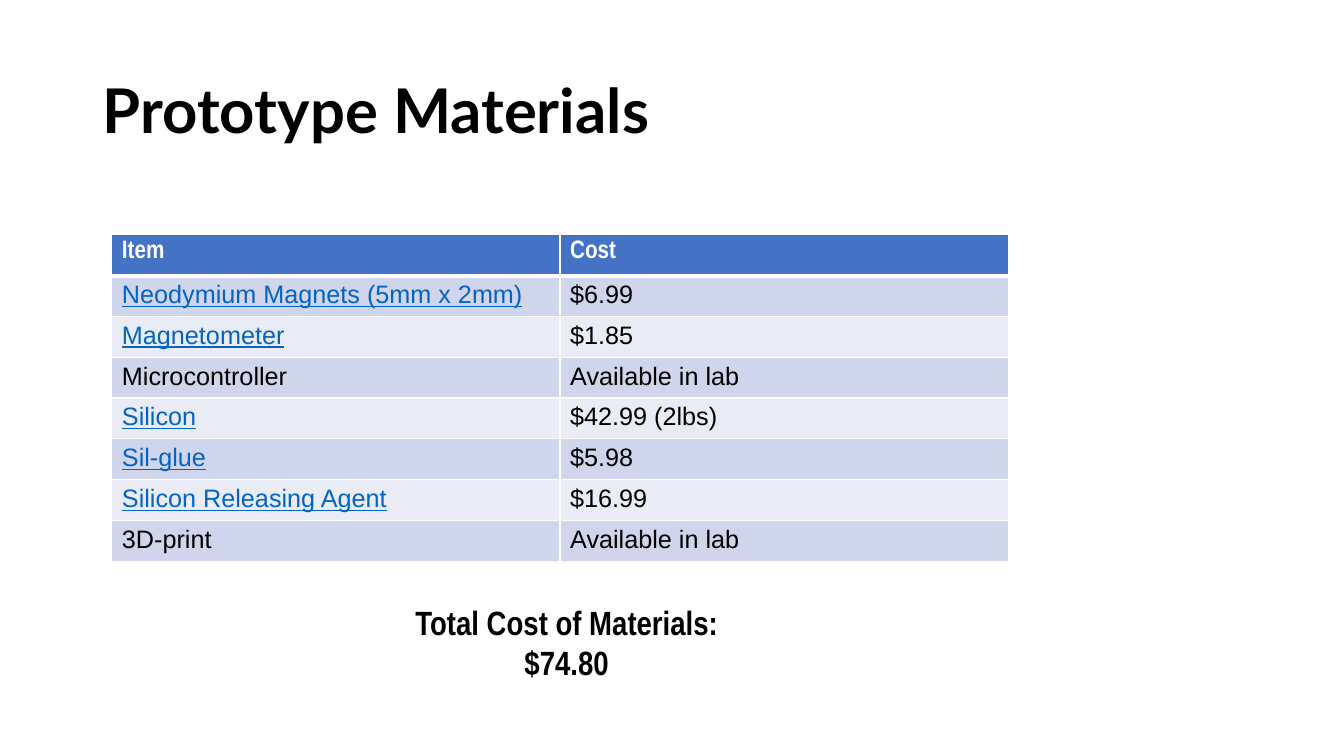
from lxml.etree import SubElement
from pptx import Presentation
from pptx.dml.color import RGBColor
from pptx.enum.text import MSO_ANCHOR as Anchor, PP_ALIGN as Align
from pptx.oxml.ns import qn
from pptx.util import Inches, Pt

TITLE = "Prototype Materials"
TOTAL = "Total Cost of Materials: $74.80"
HEADER = ("Item", "Cost")
MATERIALS = [
    ("Neodymium Magnets (5mm x 2mm)", "$6.99"),
    ("Magnetometer", "$1.85"),
    ("Microcontroller", "Available in lab"),
    ("Silicon", "$42.99 (2lbs)"),
    ("Sil-glue", "$5.98"),
    ("Silicon Releasing Agent", "$16.99"),
    ("3D-print", "Available in lab"),
]
IN_HOUSE = "Available in lab"

BLACK = RGBColor(0x00, 0x00, 0x00)
WHITE = RGBColor(0xFF, 0xFF, 0xFF)
BLUE = RGBColor(0x44, 0x72, 0xC4)
LINK_BLUE = RGBColor(0x05, 0x63, 0xC1)
BANDS = (RGBColor(0xCF, 0xD5, 0xEA), RGBColor(0xE9, 0xEB, 0xF5))

TABLE_LEFT, TABLE_TOP, TABLE_WIDTH, TABLE_HEIGHT = 1.11, 2.33, 8.89, 3.24


def add_run(paragraph, text, font_name, size, color, bold=False, underline=False):
    run = paragraph.add_run()
    run.text = text
    font = run.font
    font.name, font.size, font.bold = font_name, Pt(size), bold
    font.underline = underline
    font.color.rgb = color


def add_text(slide, box, text, font_name, size, anchor, align):
    frame = slide.shapes.add_textbox(*map(Inches, box)).text_frame
    frame.word_wrap = True
    frame.vertical_anchor = anchor
    paragraph = frame.paragraphs[0]
    paragraph.alignment = align
    add_run(paragraph, text, font_name, size, BLACK, bold=True)
    return paragraph


def set_borders(cell, widths):
    properties = cell._tc.get_or_add_tcPr()
    for side, width in widths.items():
        line = SubElement(properties, qn(f"a:ln{side}"), w=str(Pt(width)))
        fill = SubElement(line, qn("a:solidFill"))
        SubElement(fill, qn("a:srgbClr"), val=str(WHITE))


def fill_cell(cell, text, row, is_link):
    is_header = row == 0
    set_borders(cell, {
        "L": 1,
        "R": 1,
        "T": 3 if row == 1 else 1,
        "B": 3 if is_header else 1,
    })
    cell.fill.solid()
    cell.fill.fore_color.rgb = BLUE if is_header else BANDS[(row - 1) % 2]
    paragraph = cell.text_frame.paragraphs[0]
    if is_header:
        add_run(paragraph, text, "Arial Narrow", 18, WHITE, bold=True)
    else:
        color = LINK_BLUE if is_link else BLACK
        add_run(paragraph, text, "Arial", 18, color, underline=is_link)


def add_materials_table(slide):
    rows = [HEADER] + MATERIALS
    table = slide.shapes.add_table(
        len(rows), len(HEADER), Inches(TABLE_LEFT), Inches(TABLE_TOP),
        Inches(TABLE_WIDTH), Inches(TABLE_HEIGHT)).table
    for row, values in enumerate(rows):
        table.rows[row].height = Inches(TABLE_HEIGHT / len(rows))
        for column, text in enumerate(values):
            is_link = row > 0 and column == 0 and values[1] != IN_HOUSE
            fill_cell(table.cell(row, column), text, row, is_link)


def main():
    presentation = Presentation()
    presentation.slide_width = Inches(13.33)
    presentation.slide_height = Inches(7.5)
    slide = presentation.slides.add_slide(presentation.slide_layouts[6])
    title = add_text(slide, (0.92, 0.4, 11.5, 1.45), TITLE, "Lato", 44,
                     Anchor.MIDDLE, Align.LEFT)
    title.line_spacing = 0.9
    add_text(slide, (3.67, 5.92, 3.9, 0.91), TOTAL, "Arial Narrow", 24,
             Anchor.TOP, Align.CENTER)
    add_materials_table(slide)
    presentation.save("out.pptx")


if __name__ == "__main__":
    main()
